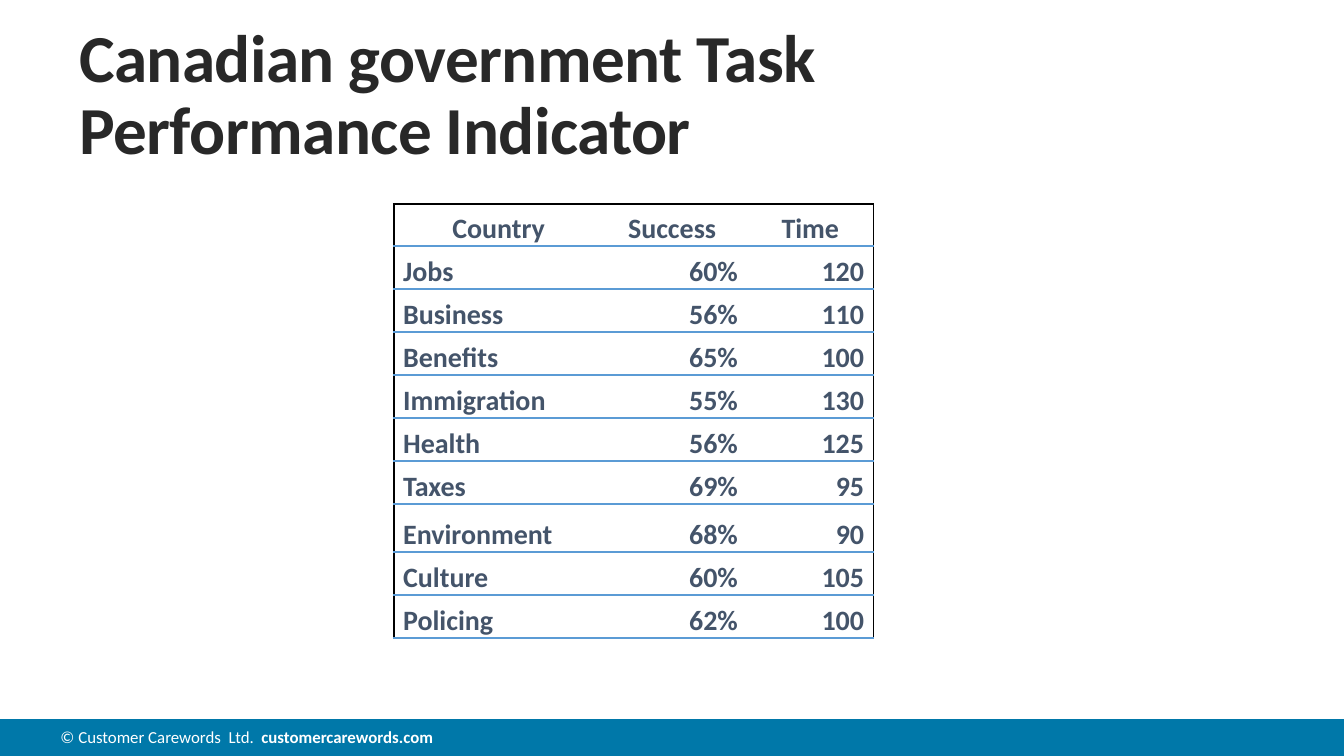
from dataclasses import dataclass

from lxml import etree
from pptx import Presentation
from pptx.dml.color import RGBColor
from pptx.enum.shapes import MSO_SHAPE
from pptx.enum.text import MSO_ANCHOR, PP_ALIGN
from pptx.oxml.ns import qn
from pptx.util import Inches, Pt

RECT = MSO_SHAPE.RECTANGLE
BOTTOM = MSO_ANCHOR.BOTTOM
LEFT, CENTER, RIGHT = PP_ALIGN.LEFT, PP_ALIGN.CENTER, PP_ALIGN.RIGHT


@dataclass(frozen=True)
class Theme:
    font: str = "Calibri"
    footer_bg: str = "0078A9"
    footer_text: str = "FFFFFF"
    title: str = "282828"
    table_text: str = "44546A"
    rule: str = "5B9BD5"
    frame: str = "000000"
    title_size: int = 36
    table_size: int = 15
    footer_size: int = 9


THEME = Theme()


def style_run(r, size, color, bold):
    r.font.name = THEME.font
    r.font.size = Pt(size)
    r.font.bold = bold
    r.font.color.rgb = RGBColor.from_string(color)


def set_border(cell, side, color=None, width=1):
    """Draw one side (L, R, T or B) of a cell, or clear it when color is None."""
    tc_pr = cell._tc.get_or_add_tcPr()
    ln = etree.SubElement(tc_pr, qn(f"a:ln{side}"), w=str(Pt(width)))
    if color is None:
        etree.SubElement(ln, qn("a:noFill"))
    else:
        fill = etree.SubElement(ln, qn("a:solidFill"))
        etree.SubElement(fill, qn("a:srgbClr"), val=color)


# Widescreen 16:9
prs = Presentation()
prs.slide_width = Inches(10)
prs.slide_height = prs.slide_width * 9 // 16
s = prs.slides.add_slide(prs.slide_layouts[6])

# Footer band, down to the bottom edge
band_top = Inches(5.35)
band = s.shapes.add_shape(RECT, 0, band_top, prs.slide_width, prs.slide_height - band_top)
band.shadow.inherit = False
band.fill.solid()
band.fill.fore_color.rgb = RGBColor.from_string(THEME.footer_bg)
band.line.fill.background()

# Footer and title text
footer = s.shapes.add_textbox(Inches(0.45), Inches(5.41), Inches(5.55), Inches(0.15))
title = s.shapes.add_textbox(Inches(0.59), Inches(0.25), Inches(7.46), Inches(1.01))
for box in (footer, title):
    tf = box.text_frame
    tf.word_wrap = True
    tf.margin_left = tf.margin_right = tf.margin_top = tf.margin_bottom = 0

p = footer.text_frame.paragraphs[0]
for text, bold in (("© Customer Carewords  Ltd.  ", False), ("customercarewords.com", True)):
    r = p.add_run()
    r.text = text
    style_run(r, THEME.footer_size, THEME.footer_text, bold)

title.text_frame.vertical_anchor = BOTTOM
p = title.text_frame.paragraphs[0]
p.text = "Canadian government Task Performance Indicator"
p.line_spacing = 0.9
r = p.runs[0]
style_run(r, THEME.title_size, THEME.title, True)
r.font._element.set("spc", "-30")

# Task table
ROWS = [
    ("Country", "Success ", "Time"),
    ("Jobs", "60%", "120"),
    ("Business", "56%", "110"),
    ("Benefits", "65%", "100"),
    ("Immigration", "55%", "130"),
    ("Health", "56%", "125"),
    ("Taxes", "69%", "95"),
    ("Environment", "68%", "90"),
    ("Culture", "60%", "105"),
    ("Policing", "62%", "100"),
]
COL_WIDTHS = [1.56, 1.07, 0.94]
ROW_HEIGHTS = [0.31] + [0.32] * 6 + [0.36] + [0.32] * 2

table = s.shapes.add_table(
    len(ROWS), len(COL_WIDTHS), Inches(2.93), Inches(1.52),
    Inches(sum(COL_WIDTHS)), Inches(sum(ROW_HEIGHTS)),
).table
table.horz_banding = False
for column, width in zip(table.columns, COL_WIDTHS):
    column.width = Inches(width)

last_col = len(COL_WIDTHS) - 1
for i, (values, height) in enumerate(zip(ROWS, ROW_HEIGHTS)):
    table.rows[i].height = Inches(height)
    for j, value in enumerate(values):
        cell = table.cell(i, j)
        cell.margin_left = cell.margin_right = Inches(0.07)
        cell.margin_top = cell.margin_bottom = 0
        cell.vertical_anchor = BOTTOM

        p = cell.text_frame.paragraphs[0]
        p.text = value
        p.alignment = CENTER if i == 0 else LEFT if j == 0 else RIGHT
        style_run(p.runs[0], THEME.table_size, THEME.table_text, True)

        set_border(cell, "L", THEME.frame if j == 0 else None)
        set_border(cell, "R", THEME.frame if j == last_col else None)
        if i == 0:
            set_border(cell, "T", THEME.frame)
        else:
            set_border(cell, "T", THEME.rule, 1.5)
        set_border(cell, "B", THEME.rule, 1.5)
        cell.fill.background()

prs.save("out.pptx")
